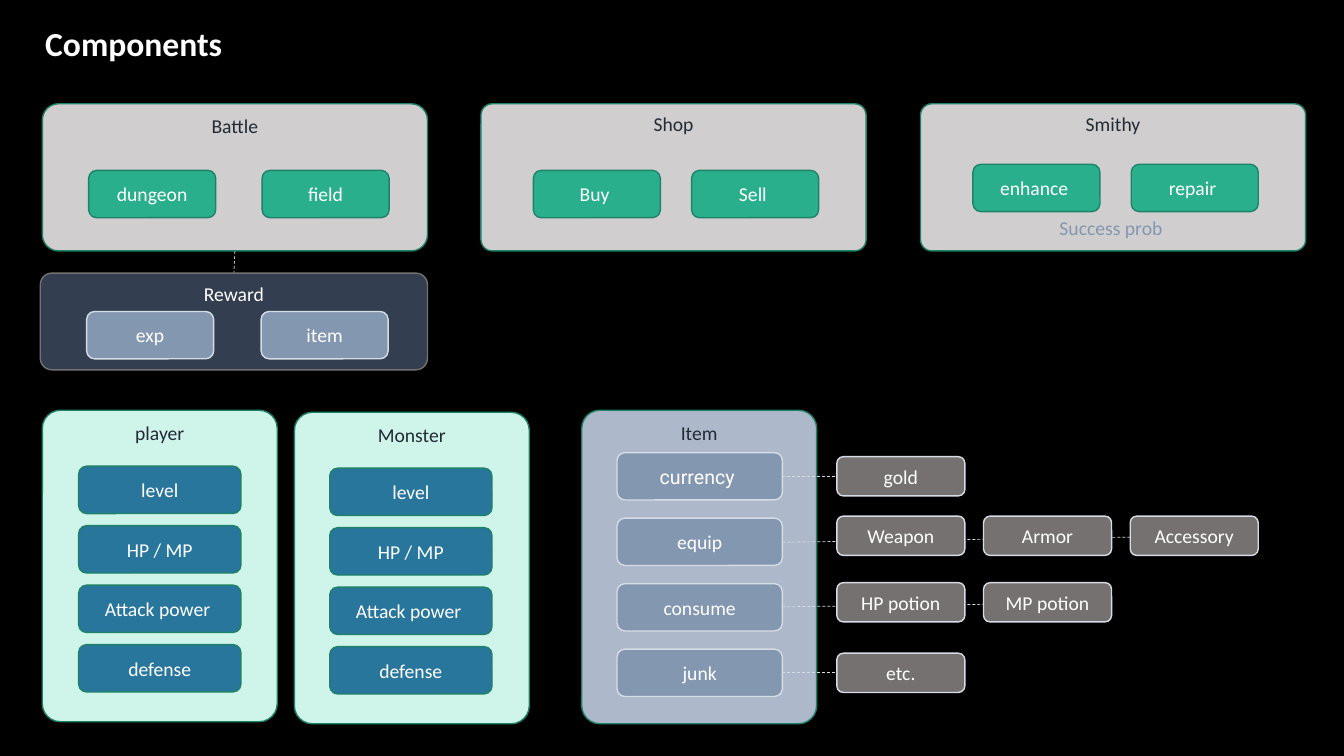
from dataclasses import dataclass
from typing import Any

import pptx
import pptx.dml.color
import pptx.enum.dml
import pptx.enum.shapes
import pptx.enum.text
import pptx.oxml.ns
import pptx.util
from lxml import etree

Inches = pptx.util.Inches
Anchor = pptx.enum.text.MSO_ANCHOR


@dataclass(frozen=True)
class Style:
    fill: str
    line: str
    text: str = "FFFFFF"
    width: float = 0
    height: float = 0.47


@dataclass(frozen=True)
class Panel:
    title: str
    left: float
    top: float
    width: float
    height: float
    style: Style
    corner: float
    node_style: Style
    nodes: list[tuple[str, float, float]]


@dataclass(frozen=True)
class Branch:
    names: list[str]
    top: float
    line_start: float
    line_end: float


WHITE = "FFFFFF"
PLACE = Style("D0CECE", "1E8168", "222A35")
CHARACTER = Style("CFF4EA", "1E8168", "222A35")
STORAGE = Style("ADB9CA", "1E8168", "222A35")
REWARD = Style("333F50", "767171")
MODE = Style("29AF8C", "1E8168", width=1.26)
ACTION = Style("29AF8C", "1F8369", width=1.26)
STAT = Style("29769D", "1E8168", width=1.61)
PRIZE = Style("8497B0", "D6DCE5", width=1.26)
CATEGORY = Style("8497B0", "D6DCE5", width=1.64)
EXAMPLE = Style("767171", "D6DCE5", width=1.27, height=0.39)


def colour(value: str) -> pptx.dml.color.RGBColor:
    return pptx.dml.color.RGBColor.from_string(value)


def set_text(frame: Any, text: str, value: str, size: int = 14, font: str = "Calibri") -> Any:
    para = frame.paragraphs[0]
    para.text = text
    para.font.size = pptx.util.Pt(size)
    para.font.name = font
    para.font.color.rgb = colour(value)
    return para


def add_box(shapes: Any, text: str, left: float, top: float, width: float, height: float,
            style: Style, anchor: Any = Anchor.MIDDLE, corner: float = 0.1667,
            font: str = "Calibri") -> None:
    box = shapes.add_shape(pptx.enum.shapes.MSO_SHAPE.ROUNDED_RECTANGLE,
                           Inches(left), Inches(top), Inches(width), Inches(height))
    box.adjustments[0] = corner
    box.shadow.inherit = False
    box.fill.solid()
    box.fill.fore_color.rgb = colour(style.fill)
    box.line.color.rgb = colour(style.line)
    box.line.width = pptx.util.Pt(1)
    box.text_frame.word_wrap = True
    box.text_frame.vertical_anchor = anchor
    para = set_text(box.text_frame, text, style.text, font=font)
    para.alignment = pptx.enum.text.PP_ALIGN.CENTER


def add_node(shapes: Any, text: str, left: float, top: float, style: Style) -> None:
    font = "Roboto" if text.startswith("currency") else "Calibri"
    add_box(shapes, text, left, top, style.width, style.height, style, font=font)


def add_panel(page: Any, panel: Panel) -> Any:
    shapes = page.shapes.add_group_shape().shapes
    add_box(shapes, panel.title, panel.left, panel.top, panel.width, panel.height,
            panel.style, Anchor.TOP, panel.corner)
    for text, left, top in panel.nodes:
        add_node(shapes, text, left, top, panel.node_style)
    return shapes


def add_dashed_line(shapes: Any, left: float, top: float, right: float, bottom: float) -> None:
    line = shapes.add_connector(pptx.enum.shapes.MSO_CONNECTOR.STRAIGHT,
                                Inches(left), Inches(top), Inches(right), Inches(bottom))
    line.line.color.rgb = colour("D6DCE5")
    line.line.width = pptx.util.Pt(0.5)
    line.line.dash_style = pptx.enum.dml.MSO_LINE.DASH
    etree.SubElement(line._element.spPr, pptx.oxml.ns.qn("a:effectLst"))


def add_label(shapes: Any, text: str, left: float, top: float, width: float, height: float,
              value: str, size: int, wrap: bool) -> Any:
    box = shapes.add_textbox(Inches(left), Inches(top), Inches(width), Inches(height))
    box.text_frame.word_wrap = wrap
    box.text_frame.auto_size = pptx.enum.text.MSO_AUTO_SIZE.SHAPE_TO_FIT_TEXT
    return set_text(box.text_frame, text, value, size)


def column(names: list[str], left: float, top: float, step: float) -> list[tuple[str, float, float]]:
    return [(name, left, top + index * step) for index, name in enumerate(names)]


def place(title: str, left: float, corner: float, style: Style,
          nodes: list[tuple[str, float, float]]) -> Panel:
    return Panel(title, left, 1.03, 3.82, 1.46, PLACE, corner, style, nodes)


def character(title: str, left: float, top: float, node_left: float) -> Panel:
    stats = ["level", "HP / MP", "Attack power ", "defense"]
    return Panel(title, left, top, 2.33, 3.09, CHARACTER, 0.077, STAT,
                 column(stats, node_left, top + 0.555, 0.59))


BATTLE = place("Battle", 0.42, 0.11, MODE, [("field", 2.6, 1.69), ("dungeon", 0.88, 1.69)])
SMITHY = place("Smithy", 9.13, 0.077, ACTION, [("enhance ", 9.65, 1.63), ("repair ", 11.22, 1.63)])
SHOP = place("Shop", 4.77, 0.077, ACTION, [("Buy ", 5.29, 1.69), ("Sell ", 6.86, 1.69)])
ITEM = Panel("Item", 5.77, 4.07, 2.33, 3.11, STORAGE, 0.077, CATEGORY,
             column(["currency\u00a0", "equip", "consume", "junk"], 6.12, 4.49, 0.65))
PRIZES = Panel("Reward", 0.4, 2.71, 3.84, 0.96, REWARD, 0.12, PRIZE,
               [("item", 2.59, 3.09), ("exp", 0.86, 3.09)])
BRANCHES = [
    Branch(["gold"], 4.53, 4.73, 4.73),
    Branch(["Weapon", "Armor", "Accessory"], 5.12, 5.38, 5.31),
    Branch(["HP potion", "MP potion"], 5.78, 6.02, 5.98),
    Branch(["etc."], 6.48, 6.67, 6.67),
]


def add_branch(shapes: Any, branch: Branch) -> None:
    lefts = [8.3 + index * 1.455 for index in range(len(branch.names))]
    add_dashed_line(shapes, 7.76, branch.line_start, lefts[-1] + EXAMPLE.width, branch.line_end)
    for name, left in zip(branch.names, lefts):
        add_node(shapes, name, left, branch.top, EXAMPLE)


def main() -> None:
    deck = pptx.Presentation()
    deck.slide_width, deck.slide_height = Inches(13.33), Inches(7.5)
    page = deck.slides.add_slide(deck.slide_layouts[6])
    page.background.fill.solid()
    page.background.fill.fore_color.rgb = colour("000000")

    add_panel(page, BATTLE)
    add_panel(page, character("player", 0.42, 4.07, 0.78))
    smithy = add_panel(page, SMITHY)
    add_label(smithy, "Success prob", 10.41, 2.09, 1.23, 0.34, "8497B0", 14, False)
    add_panel(page, SHOP)
    item = add_panel(page, ITEM)
    for branch in BRANCHES:
        add_branch(item, branch)
    add_panel(page, character("Monster", 2.92, 4.09, 3.27))
    add_dashed_line(page.shapes, 2.33, 2.49, 2.32, 2.71)
    add_panel(page, PRIZES)
    title = add_label(page.shapes, "Components", 0.35, 0.18, 6.67, 0.5, WHITE, 24, True)
    title.font.bold = True
    deck.save("out.pptx")


main()
